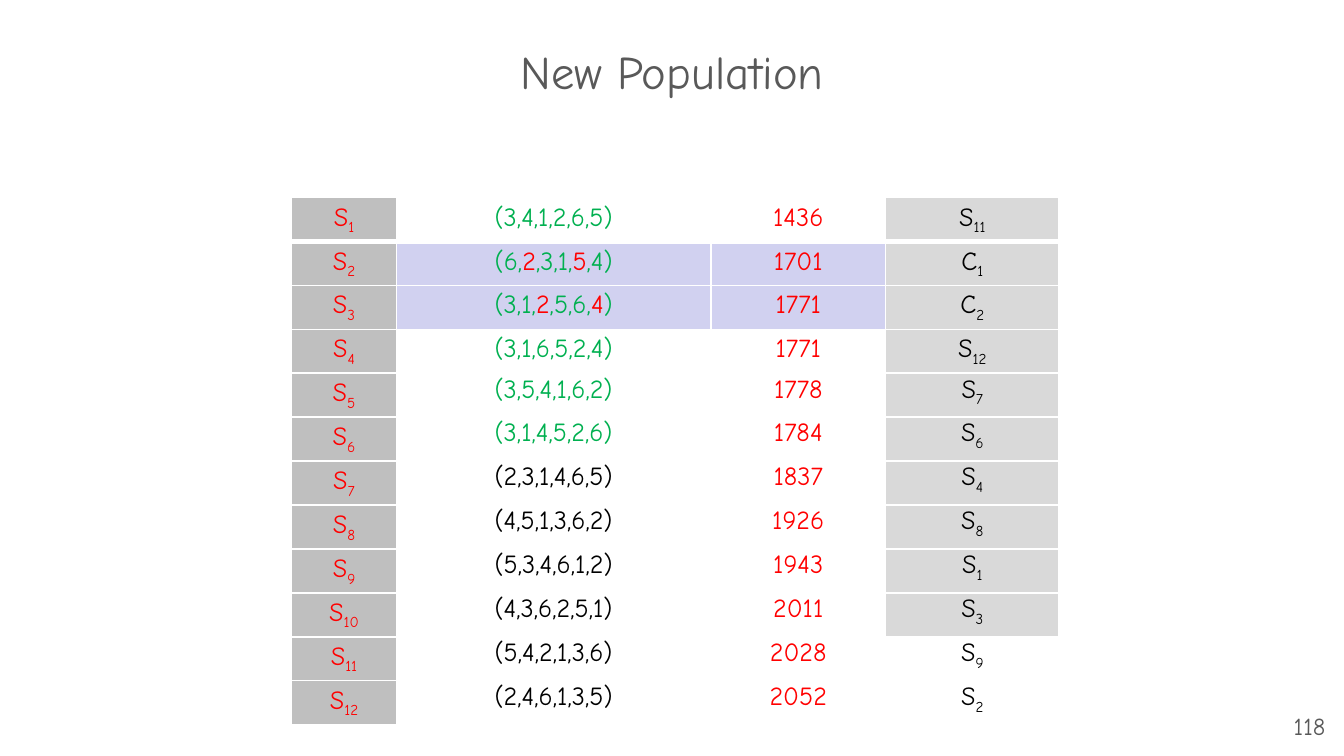
from lxml import etree
from pptx import Presentation
from pptx.dml.color import RGBColor
from pptx.enum.text import MSO_ANCHOR, PP_ALIGN
from pptx.oxml.ns import qn
from pptx.util import Inches, Pt

CENTER, RIGHT = PP_ALIGN.CENTER, PP_ALIGN.RIGHT
TOP, MIDDLE = MSO_ANCHOR.TOP, MSO_ANCHOR.MIDDLE

FONT = "Comic Neue"
COLORS = {
    "text": "595959", "red": "FF0000", "green": "00B050", "black": "000000",
    "rank": "BFBFBF", "source": "D9D9D9", "child": "D1D1F0", "border": "FFFFFF",
}

TITLE = "New Population"
PAGE_NUMBER = "118"
POPULATION = [
    ("(3,4,1,2,6,5)", "1436", "S11"),
    ("(6,*2*,3,1,*5*,4)", "1701", "C1"),
    ("(3,1,*2*,5,6,*4*)", "1771", "C2"),
    ("(3,1,6,5,2,4)", "1771", "S12"),
    ("(3,5,4,1,6,2)", "1778", "S7"),
    ("(3,1,4,5,2,6)", "1784", "S6"),
    ("(2,3,1,4,6,5)", "1837", "S4"),
    ("(4,5,1,3,6,2)", "1926", "S8"),
    ("(5,3,4,6,1,2)", "1943", "S1"),
    ("(4,3,6,2,5,1)", "2011", "S3"),
    ("(5,4,2,1,3,6)", "2028", "S9"),
    ("(2,4,6,1,3,5)", "2052", "S2"),
]
MUTATION_MARK = "*"
SLIDE_WIDTH = 10
SLIDE_HEIGHT = SLIDE_WIDTH * 9 / 16
COLUMN_WIDTHS = [0.78, 2.34, 1.3, 1.29]
ROW_HEIGHT = 0.3
GREEN_ROWS, ROOMY_ROWS, SHADED_ROWS = 6, 4, 10
ROOMY_POINTS, TIGHT_POINTS = (7.2, 2.7, 7.2, 2.7), (0.7, 0.7, 0.7, 0)
TITLE_POINTS, NUMBER_POINTS = (7.2, 3.6, 7.2, 3.6), (7.2, 7.2, 7.2, 7.2)


def format_span(span, size, color):
    span.font.name = FONT
    span.font.size = Pt(size)
    span.font.color.rgb = RGBColor.from_string(COLORS[color])


def set_margins(target, points):
    (target.margin_left, target.margin_top,
     target.margin_right, target.margin_bottom) = map(Pt, points)


def write_line(frame, text, size, align, anchor, points):
    frame.word_wrap = True
    frame.vertical_anchor = anchor
    set_margins(frame, points)
    frame.text = text
    para = frame.paragraphs[0]
    para.alignment = align
    format_span(para.runs[0], size, "text")


def set_borders(cell, top, bottom):
    properties = cell._tc.get_or_add_tcPr()
    for tag, width in (("a:lnL", 1), ("a:lnR", 1), ("a:lnT", top), ("a:lnB", bottom)):
        line = etree.SubElement(properties, qn(tag), w=str(Pt(width)))
        solid = etree.SubElement(line, qn("a:solidFill"))
        etree.SubElement(solid, qn("a:srgbClr"), val=COLORS["border"])


def fill_cell(cell, spans, fill, points):
    set_margins(cell, points)
    cell.vertical_anchor = TOP
    para = cell.text_frame.paragraphs[0]
    para.alignment = CENTER
    for text, color, baseline in spans:
        span = para.add_run()
        span.text = text
        format_span(span, 14, color)
        if baseline:
            span._r.get_or_add_rPr().set("baseline", str(baseline))
    if fill:
        cell.fill.solid()
        cell.fill.fore_color.rgb = RGBColor.from_string(COLORS[fill])
    else:
        cell.fill.background()


def indexed(name, color):
    return [(name[0], color, 0), (name[1:], color, -25000)]


def genes(text, color):
    return [(part, "red" if i % 2 else color, 0)
            for i, part in enumerate(text.split(MUTATION_MARK))]


def add_population(page):
    count = len(POPULATION)
    table = page.shapes.add_table(
        count, len(COLUMN_WIDTHS), Inches(2.17), Inches(1.47),
        Inches(sum(COLUMN_WIDTHS)), Inches(ROW_HEIGHT * count)).table
    table.first_row = table.horz_banding = False
    for column, width in zip(table.columns, COLUMN_WIDTHS):
        column.width = Inches(width)
    for i, (tour, cost, source) in enumerate(POPULATION):
        table.rows[i].height = Inches(ROW_HEIGHT)
        child = "child" if source.startswith("C") else None
        points = ROOMY_POINTS if i < ROOMY_ROWS else TIGHT_POINTS
        cells = [
            (indexed(f"S{i + 1}", "red"), "rank", ROOMY_POINTS),
            (genes(tour, "green" if i < GREEN_ROWS else "black"), child, points),
            ([(cost, "red", 0)], child, points),
            (indexed(source, "black"), "source" if i < SHADED_ROWS else None, points),
        ]
        for j, (spans, fill, insets) in enumerate(cells):
            cell = table.cell(i, j)
            set_borders(cell, 3 if i == 1 else 1, 3 if i == 0 else 1)
            fill_cell(cell, spans, fill, insets)


def main():
    deck = Presentation()
    deck.slide_width, deck.slide_height = Inches(SLIDE_WIDTH), Inches(SLIDE_HEIGHT)
    page = deck.slides.add_slide(deck.slide_layouts[5])

    title = page.shapes.title
    title.left, title.top, title.width, title.height = map(Inches, (0, 0, SLIDE_WIDTH, 1.06))
    write_line(title.text_frame, TITLE, 25, CENTER, MIDDLE, TITLE_POINTS)

    add_population(page)

    box = page.shapes.add_textbox(*map(Inches, (9.36, 5.19, 0.6, 0.43)))
    write_line(box.text_frame, PAGE_NUMBER, 13, RIGHT, TOP, NUMBER_POINTS)
    deck.save("out.pptx")


if __name__ == "__main__":
    main()
